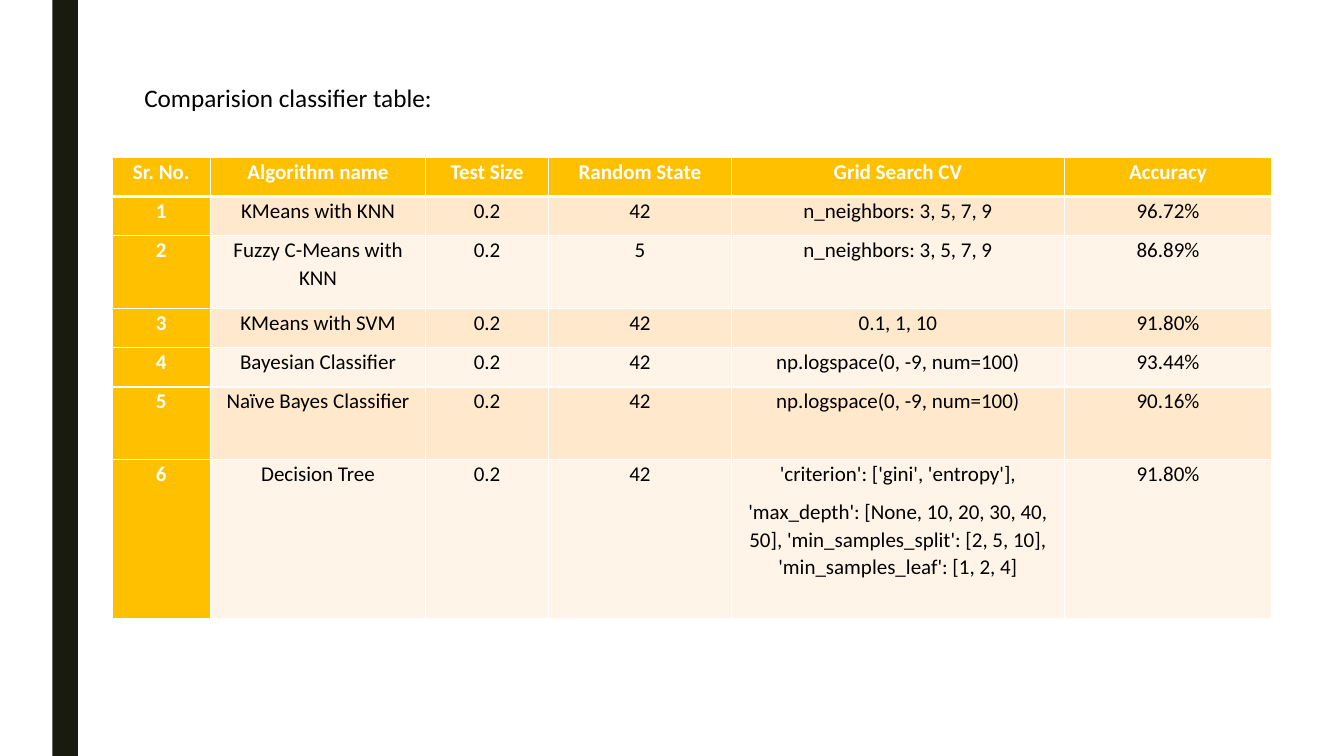
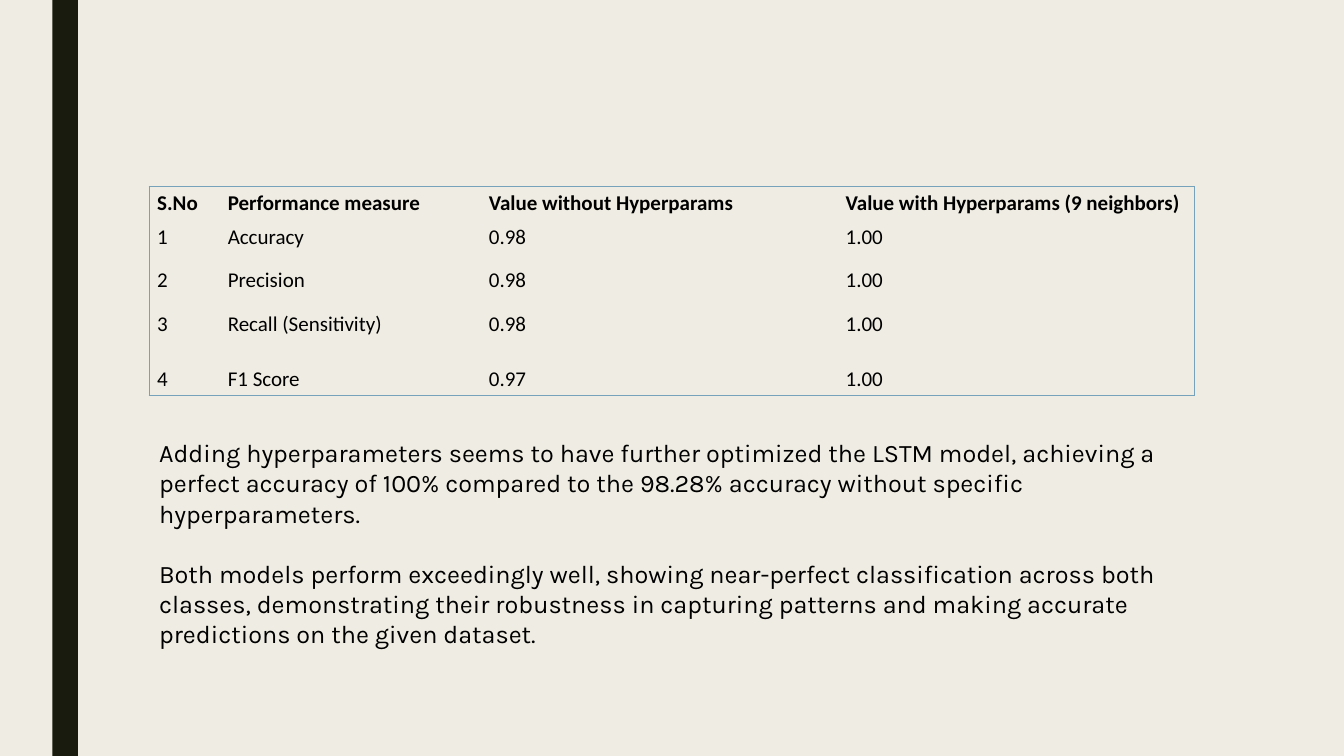
from dataclasses import dataclass

from lxml.etree import SubElement
from pptx import Presentation
from pptx.dml.color import RGBColor
from pptx.enum.shapes import MSO_SHAPE
from pptx.enum.text import MSO_AUTO_SIZE, PP_ALIGN
from pptx.oxml.ns import qn
from pptx.util import Inches, Pt


@dataclass(frozen=True)
class Theme:
    white: str = "FFFFFF"
    ink: str = "000000"
    cream: str = "EFEDE3"
    band: str = "191B0E"
    amber: str = "FFC000"
    peach: str = "FFE8CC"
    pale: str = "FFF4E7"
    blue: str = "77A2BB"
    table_font: str = "Calibri"
    prose_font: str = "Karla"
    table_size: int = 15
    text_size: int = 18


@dataclass
class Grid:
    """A table; lengths are percent of the slide's width or height."""
    page: object
    left: float
    top: float
    widths: list
    heights: list
    rows: list
    head_fill: str = None
    head_ink: str = Theme.ink
    bands: tuple = (None, None)
    head_column: bool = False
    outer: str = None
    inner: str = None
    head_rule: int = 1
    align: object = PP_ALIGN.LEFT
    line_spacing: float = 1.0
    space_after: int = 0
    inset_x: float = 0.6
    inset_y: float = 0.53


theme = Theme()


def write(paragraph, text, size, font, color=theme.ink, bold=False):
    run = paragraph.add_run()
    run.text = text
    run.font.size, run.font.name, run.font.bold = Pt(size), font, bold
    run.font.color.rgb = RGBColor.from_string(color)


def draw_edge(cell, side, color, width):
    line = SubElement(cell._tc.get_or_add_tcPr(), qn(f"a:ln{side}"), w=str(Pt(width)))
    if color is None:
        SubElement(line, qn("a:noFill"))
    else:
        SubElement(SubElement(line, qn("a:solidFill")), qn("a:srgbClr"), val=color)


deck = Presentation()
deck.slide_width, deck.slide_height = Inches(13.33), Inches(7.5)
col, row = deck.slide_width / 100, deck.slide_height / 100
blank = deck.slide_layouts[6]

# Pages and their backgrounds
comparison, measures = (deck.slides.add_slide(blank) for _ in range(2))
for page, backdrop in ((comparison, theme.white), (measures, theme.cream)):
    page.background.fill.solid()
    page.background.fill.fore_color.rgb = RGBColor.from_string(backdrop)

# Vertical band, shared through the layout
band = comparison.shapes.add_shape(
    MSO_SHAPE.RECTANGLE, int(3.9 * col), 0, int(1.9 * col), deck.slide_height)
band.shadow.inherit = False
band.fill.solid()
band.fill.fore_color.rgb = RGBColor.from_string(theme.band)
band.line.fill.background()
blank.element.cSld.spTree.append(band.element)

# Content of the two tables
classifiers = Grid(
    comparison, 8.36, 20.8,
    widths=[7.28, 16.05, 9.1, 13.65, 24.75, 15.45],
    heights=[5.2, 5.2, 9.6, 5.2, 5.2, 9.6, 21.07],
    rows=[
        ["Sr. No.", "Algorithm name", "Test Size", "Random State", "Grid Search CV", "Accuracy"],
        ["1", "KMeans with KNN", "0.2", "42", "n_neighbors: 3, 5, 7, 9", "96.72%"],
        ["2", "Fuzzy C-Means with KNN", "0.2", "5", "n_neighbors: 3, 5, 7, 9", "86.89%"],
        ["3", "KMeans with SVM", "0.2", "42", "0.1, 1, 10", "91.80%"],
        ["4", "Bayesian Classifier", "0.2", "42", "np.logspace(0, -9, num=100)", "93.44%"],
        ["5", "Naïve Bayes Classifier", "0.2", "42", "np.logspace(0, -9, num=100)", "90.16%"],
        ["6", "Decision Tree", "0.2", "42",
         "'criterion': ['gini', 'entropy'],\n"
         "'max_depth': [None, 10, 20, 30, 40, 50], 'min_samples_split': [2, 5, 10], "
         "'min_samples_leaf': [1, 2, 4]", "91.80%"],
    ],
    head_fill=theme.amber, head_ink=theme.white, bands=(theme.pale, theme.peach),
    head_column=True, outer=theme.white, inner=theme.white, head_rule=3,
    align=PP_ALIGN.CENTER, line_spacing=1.07, space_after=8, inset_x=0.7, inset_y=0)

scores = Grid(
    measures, 11.1, 24.67,
    widths=[5.25, 19.43, 26.55, 26.55],
    heights=[4.53, 5.73, 5.73, 7.33, 4.13],
    rows=[
        ["S.No", "Performance measure", "Value without Hyperparams",
         "Value with Hyperparams (9 neighbors)"],
        ["1", "Accuracy", "0.98", "1.00"],
        ["2", "Precision", "0.98", "1.00"],
        ["3", "Recall (Sensitivity)", "0.98", "1.00"],
        ["4", "F1 Score", "0.97", "1.00"],
    ],
    outer=theme.blue)

# Draw the tables
for grid in (classifiers, scores):
    last_r, last_c = len(grid.heights) - 1, len(grid.widths) - 1
    table = grid.page.shapes.add_table(
        last_r + 1, last_c + 1, int(grid.left * col), int(grid.top * row),
        int(sum(grid.widths) * col), int(sum(grid.heights) * row)).table
    table.horz_banding = False
    for column, width in zip(table.columns, grid.widths):
        column.width = int(width * col)
    for line, height in zip(table.rows, grid.heights):
        line.height = int(height * row)

    for r, texts in enumerate(grid.rows):
        for c, text in enumerate(texts):
            cell = table.cell(r, c)
            is_head = r == 0 or (c == 0 and grid.head_column)
            cell.margin_left = cell.margin_right = int(grid.inset_x * col)
            cell.margin_top = cell.margin_bottom = int(grid.inset_y * row)

            for side, at_rim, at_head in (
                    ("L", c == 0, False), ("R", c == last_c, False),
                    ("T", r == 0, r == 1), ("B", r == last_r, r == 0)):
                draw_edge(cell, side, grid.outer if at_rim else grid.inner,
                          grid.head_rule if at_head else 1)

            fill = grid.head_fill if is_head else grid.bands[r % 2]
            if fill:
                cell.fill.solid()
                cell.fill.fore_color.rgb = RGBColor.from_string(fill)
            else:
                cell.fill.background()

            for i, part in enumerate(text.split("\n")):
                frame = cell.text_frame
                paragraph = frame.add_paragraph() if i else frame.paragraphs[0]
                paragraph.alignment = grid.align
                paragraph.line_spacing = grid.line_spacing
                paragraph.space_after = Pt(grid.space_after)
                write(paragraph, part, theme.table_size, theme.table_font,
                      grid.head_ink if is_head else theme.ink, is_head)

# Heading of the comparison and findings below the scores
findings = [
    "Adding hyperparameters seems to have further optimized the LSTM model, achieving a "
    "perfect accuracy of 100% compared to the 98.28% accuracy without specific "
    "hyperparameters.",
    "Both models perform exceedingly well, showing near-perfect classification across both "
    "classes, demonstrating their robustness in capturing patterns and making accurate "
    "predictions on the given dataset.",
]
for page, left, top, width, height, font, texts in (
        (comparison, 10, 10.27, 62, 5.33, theme.table_font, ["Comparision classifier table:"]),
        (measures, 11.1, 57.2, 77.85, 29.6, theme.prose_font, findings)):
    frame = page.shapes.add_textbox(
        int(left * col), int(top * row), int(width * col), int(height * row)).text_frame
    frame.word_wrap = True
    frame.auto_size = MSO_AUTO_SIZE.SHAPE_TO_FIT_TEXT
    for i, text in enumerate(texts):
        paragraph = frame.add_paragraph() if i else frame.paragraphs[0]
        paragraph.space_before = Pt(21.5 if i else 0)
        write(paragraph, text, theme.text_size, font)

deck.save("out.pptx")
